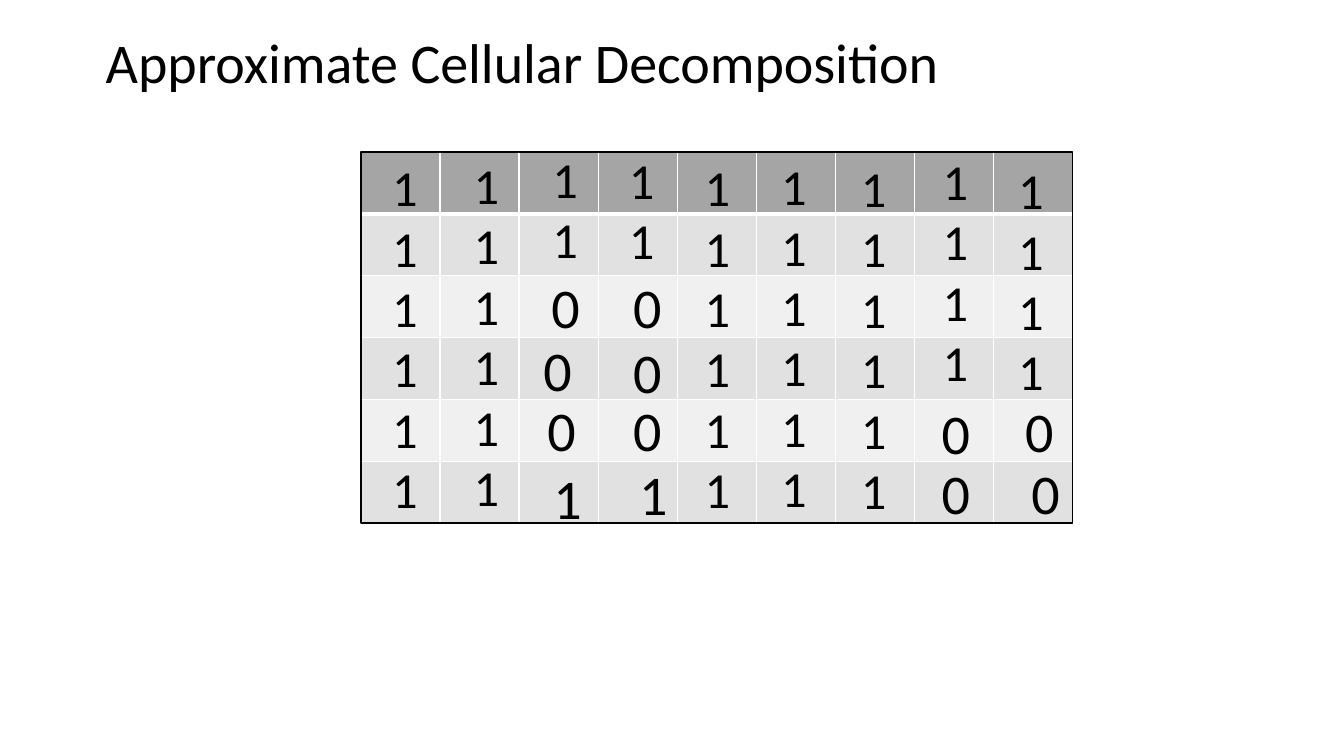
from lxml import etree
from pptx import Presentation
from pptx.dml.color import RGBColor
from pptx.enum import shapes, text
from pptx.oxml.ns import qn
from pptx.util import Inches, Pt

TITLE = "Approximate Cellular Decomposition"
FONT = "Calibri"
BLACK = RGBColor(0x00, 0x00, 0x00)
HEADER = RGBColor(0xA5, 0xA5, 0xA5)
BANDS = (RGBColor(0xF0, 0xF0, 0xF0), RGBColor(0xE1, 0xE1, 0xE1))
GRID_LINE = RGBColor(0xFF, 0xFF, 0xFF)

ROWS, COLS = 6, 9
GRID = (3.58, 1.51, 7.06, 3.68)

# Columns of free cells: left, top, digits
FULL_COLUMNS = [(3.79, 1.5, 6), (4.6, 1.48, 6), (6.89, 1.5, 6),
                (7.65, 1.49, 6), (8.44, 1.51, 6)]
SHORT_COLUMNS = [(5.38, 1.42, 2), (6.14, 1.43, 2), (9.25, 1.44, 4), (10, 1.53, 4)]

# Single cells: digit, left, top
SINGLE_CELLS = [
    ("0", 5.37, 2.65), ("0", 6.18, 2.65),
    ("0", 5.29, 3.28), ("0", 6.18, 3.3),
    ("0", 5.33, 3.87), ("0", 6.18, 3.87),
    ("0", 9.24, 3.9), ("0", 10.07, 3.88),
    ("0", 9.24, 4.5), ("0", 10.13, 4.5),
    ("1", 5.39, 4.55), ("1", 6.24, 4.51),
]
LINE_STEP = 0.61


def add_text(s, content, left, top, width, height, size, wrap=False):
    box = s.shapes.add_textbox(Inches(left), Inches(top), Inches(width), Inches(height))
    tf = box.text_frame
    tf.text = content
    tf.word_wrap = wrap
    tf.auto_size = text.MSO_AUTO_SIZE.SHAPE_TO_FIT_TEXT
    for p in tf.paragraphs:
        for r in p.runs:
            r.font.name = FONT
            r.font.size = Pt(size)
            r.font.color.rgb = BLACK


def add_digit_column(s, left, top, count, width, wrap):
    height = count * LINE_STEP + 0.1
    add_text(s, "\n".join("1" * count), left, top, width, height, 36, wrap)


def set_border(cell, side, points):
    tc_pr = cell._tc.get_or_add_tcPr()
    line = etree.SubElement(tc_pr, qn(f"a:ln{side}"), w=str(Pt(points)))
    fill = etree.SubElement(line, qn("a:solidFill"))
    etree.SubElement(fill, qn("a:srgbClr"), val=str(GRID_LINE))


def add_grid(s):
    left, top, width, height = map(Inches, GRID)
    table = s.shapes.add_table(ROWS, COLS, left, top, width, height).table
    table.first_row = table.horz_banding = False
    for row in range(ROWS):
        for col in range(COLS):
            cell = table.cell(row, col)
            for side in "LRTB":
                under_header = (row, side) in ((0, "B"), (1, "T"))
                set_border(cell, side, 3 if under_header else 1)
            cell.fill.solid()
            cell.fill.fore_color.rgb = BANDS[row % 2] if row else HEADER

    frame = s.shapes.add_shape(shapes.MSO_SHAPE.RECTANGLE, left, top, width, height)
    frame.shadow.inherit = False
    frame.fill.background()
    frame.line.color.rgb = BLACK
    frame.line.width = Pt(1)


def main():
    prs = Presentation()
    prs.slide_width, prs.slide_height = Inches(13.33), Inches(7.5)
    s = prs.slides.add_slide(prs.slide_layouts[6])

    add_grid(s)
    for left, top, count in SHORT_COLUMNS:
        add_digit_column(s, left, top, count, 0.43, True)
    for left, top, count in FULL_COLUMNS:
        add_digit_column(s, left, top, count, 0.46, False)
    for digit, left, top in SINGLE_CELLS:
        add_text(s, digit, left, top, 0.49, 0.77, 40)
    add_text(s, TITLE, 0.95, 0.22, 8.55, 0.77, 40)

    prs.save("out.pptx")


if __name__ == "__main__":
    main()
